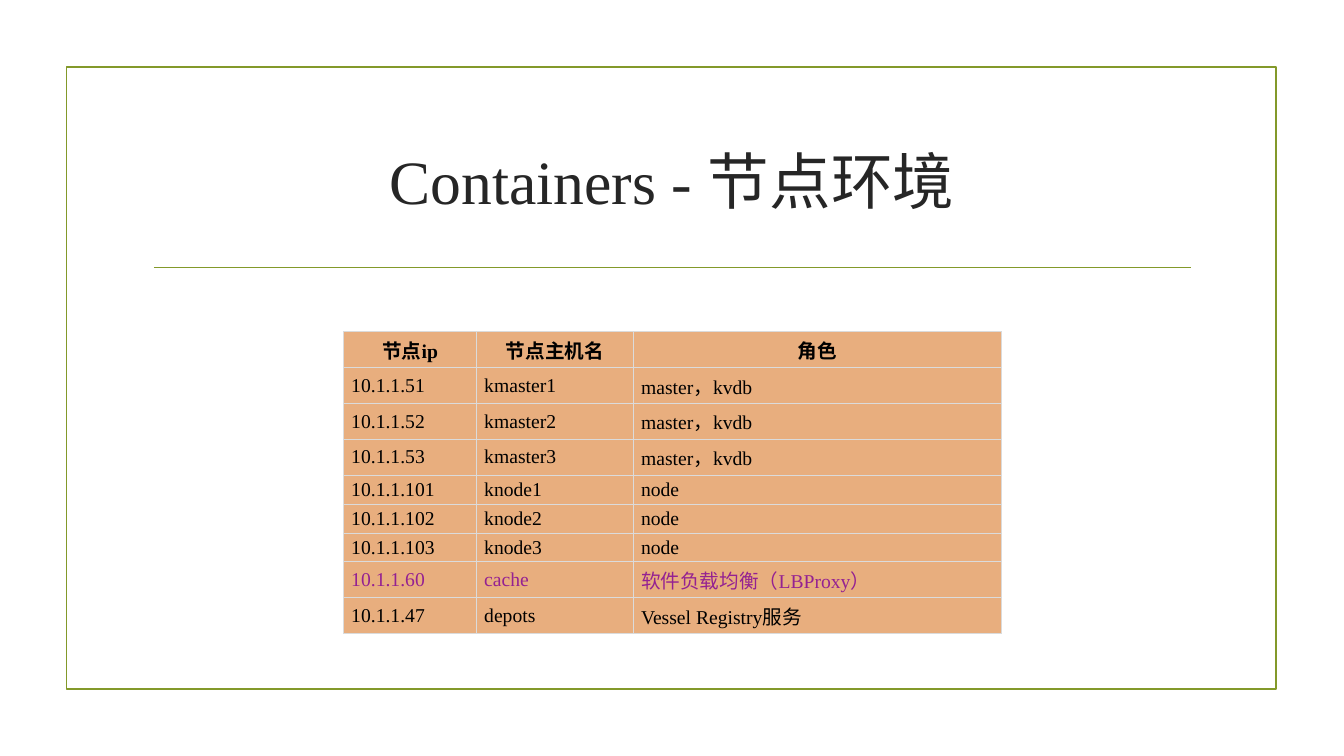
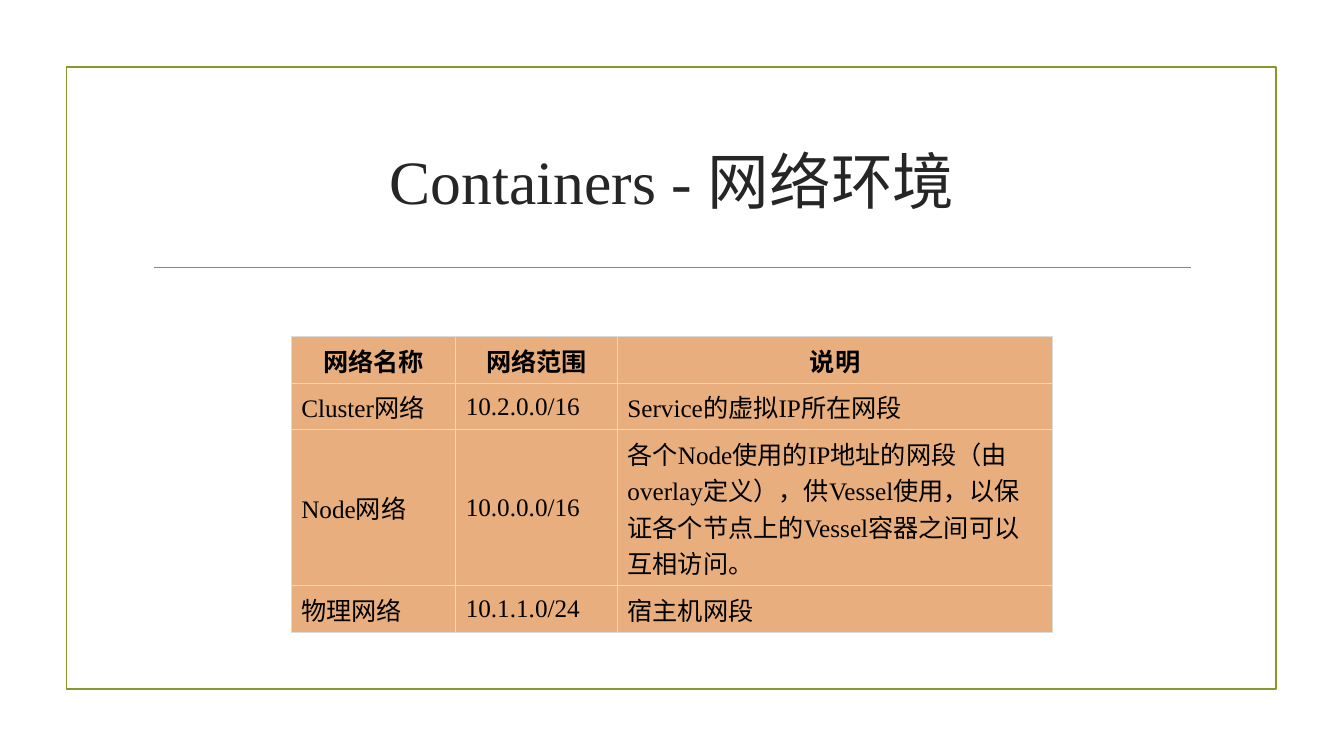
from dataclasses import dataclass

from lxml import etree
from pptx import Presentation
from pptx.dml.color import RGBColor
from pptx.enum.lang import MSO_LANGUAGE_ID
from pptx.enum.shapes import MSO_CONNECTOR, MSO_SHAPE
from pptx.enum.text import MSO_ANCHOR, PP_ALIGN
from pptx.oxml.ns import qn
from pptx.util import Pt

CENTER, LEFT = PP_ALIGN.CENTER, PP_ALIGN.LEFT
MIDDLE = MSO_ANCHOR.MIDDLE
STRAIGHT, RECTANGLE = MSO_CONNECTOR.STRAIGHT, MSO_SHAPE.RECTANGLE
CHINESE = MSO_LANGUAGE_ID.SIMPLIFIED_CHINESE
TITLE_ONLY = 5


@dataclass(frozen=True)
class Theme:
    """Colours, type sizes and line widths of the deck."""
    font: str = "Times New Roman"
    green: str = "83992A"
    title: str = "262626"
    text: str = "000000"
    accent: str = "942192"
    cell: str = "E8AE7E"
    border: str = "DBDBDB"
    title_size: float = 44
    line_width: float = 1.25
    border_width: float = 0.75


THEME = Theme()

NODES = {
    "title": "Containers - 节点环境",
    "place": (245.5, 237),
    "columns": (95, 112, 263),
    "row_height": 20,
    "size": 14,
    "margins": (5.4, 2.6),
    "accent_row": 7,
    "rows": [
        ("节点ip", "节点主机名", "角色"),
        *((f"10.1.1.5{n}", f"kmaster{n}", "master，kvdb") for n in range(1, 4)),
        *((f"10.1.1.10{n}", f"knode{n}", "node") for n in range(1, 4)),
        ("10.1.1.60", "cache", "软件负载均衡（LBProxy）"),
        ("10.1.1.47", "depots", "Vessel Registry服务"),
    ],
}

NETWORKS = {
    "title": "Containers - 网络环境",
    "place": (208, 240.5),
    "columns": (117.5, 115.5, 311),
    "row_height": 33,
    "size": 18,
    "margins": (7.2, 3.6),
    "accent_row": None,
    "rows": [
        ("网络名称", "网络范围", "说明"),
        ("Cluster网络", "10.2.0.0/16", "Service的虚拟IP所在网段"),
        ("Node网络", "10.0.0.0/16",
         "各个Node使用的IP地址的网段（由overlay定义），供Vessel使用，"
         "以保证各个节点上的Vessel容器之间可以互相访问。"),
        ("物理网络", "10.1.1.0/24", "宿主机网段"),
    ],
}


def apply_format(target, values):
    """Set each attribute of the target from a dict."""
    for name, value in values.items():
        setattr(target, name, value)


def write(frame, text, align, color, size, bold=False):
    """Write one formatted paragraph into a text frame."""
    para = frame.paragraphs[0]
    para.alignment = align
    span = para.add_run()
    span.text = text
    apply_format(span.font, {"name": THEME.font, "size": Pt(size),
                             "bold": bold, "language_id": CHINESE})
    span.font.color.rgb = RGBColor.from_string(color)


def style_line(line):
    """Give a line the green of the deck."""
    line.color.rgb = RGBColor.from_string(THEME.green)
    line.width = Pt(THEME.line_width)


def add_backdrop(layout, page):
    """Draw the frame and the rule, then place them on the layout."""
    for holder in list(layout.placeholders):
        if holder.placeholder_format.idx > 0:
            holder.element.getparent().remove(holder.element)
    frame = page.shapes.add_shape(RECTANGLE, Pt(47.5), Pt(48), Pt(864), Pt(444))
    frame.shadow.inherit = False
    frame.fill.background()
    rule = page.shapes.add_connector(STRAIGHT, Pt(110), Pt(191), Pt(850.5), Pt(191))
    etree.SubElement(rule.element.spPr, qn("a:effectLst"))
    for index, shape in enumerate((frame, rule), start=2):
        style_line(shape.line)
        layout.shapes.element.insert(index, shape.element)


def add_title(page, text):
    """Place and format the title."""
    title = page.shapes.title
    apply_format(title, {"left": Pt(102), "top": Pt(77),
                         "width": Pt(756), "height": Pt(103)})
    title.text_frame.vertical_anchor = MIDDLE
    write(title.text_frame, text, CENTER, THEME.title, THEME.title_size)


def add_borders(cell):
    """Draw all four borders of a cell."""
    properties = cell._tc.get_or_add_tcPr()
    for index, side in enumerate(("lnL", "lnR", "lnT", "lnB")):
        line = etree.Element(qn(f"a:{side}"), w=str(Pt(THEME.border_width)))
        fill = etree.SubElement(line, qn("a:solidFill"))
        etree.SubElement(fill, qn("a:srgbClr"), val=THEME.border)
        properties.insert(index, line)


def fill_cell(cell, text, content, row):
    """Write and format one table cell."""
    header = row == 0
    color = THEME.accent if row == content["accent_row"] else THEME.text
    side, edge = map(Pt, content["margins"])
    apply_format(cell, {"vertical_anchor": MIDDLE,
                        "margin_left": side, "margin_right": side,
                        "margin_top": edge, "margin_bottom": edge})
    cell.fill.solid()
    cell.fill.fore_color.rgb = RGBColor.from_string(THEME.cell)
    add_borders(cell)
    write(cell.text_frame, text, CENTER if header else LEFT, color,
          content["size"], header)


def add_grid(page, content):
    """Add the table of a page."""
    rows, columns = content["rows"], content["columns"]
    left, top = content["place"]
    height = content["row_height"]
    table = page.shapes.add_table(
        len(rows), len(columns), Pt(left), Pt(top),
        Pt(sum(columns)), Pt(height * len(rows))).table
    apply_format(table, {"first_row": False, "horz_banding": False})
    for column, width in zip(table.columns, columns):
        column.width = Pt(width)
    for row, texts in enumerate(rows):
        table.rows[row].height = Pt(height)
        for column, text in enumerate(texts):
            fill_cell(table.cell(row, column), text, content, row)


def main():
    """Build and save the deck."""
    deck = Presentation()
    apply_format(deck, {"slide_width": Pt(960), "slide_height": Pt(540)})
    layout = deck.slide_layouts[TITLE_ONLY]
    for number, content in enumerate((NODES, NETWORKS)):
        page = deck.slides.add_slide(layout)
        if number == 0:
            add_backdrop(layout, page)
        add_title(page, content["title"])
        add_grid(page, content)
    deck.save("out.pptx")


if __name__ == "__main__":
    main()
